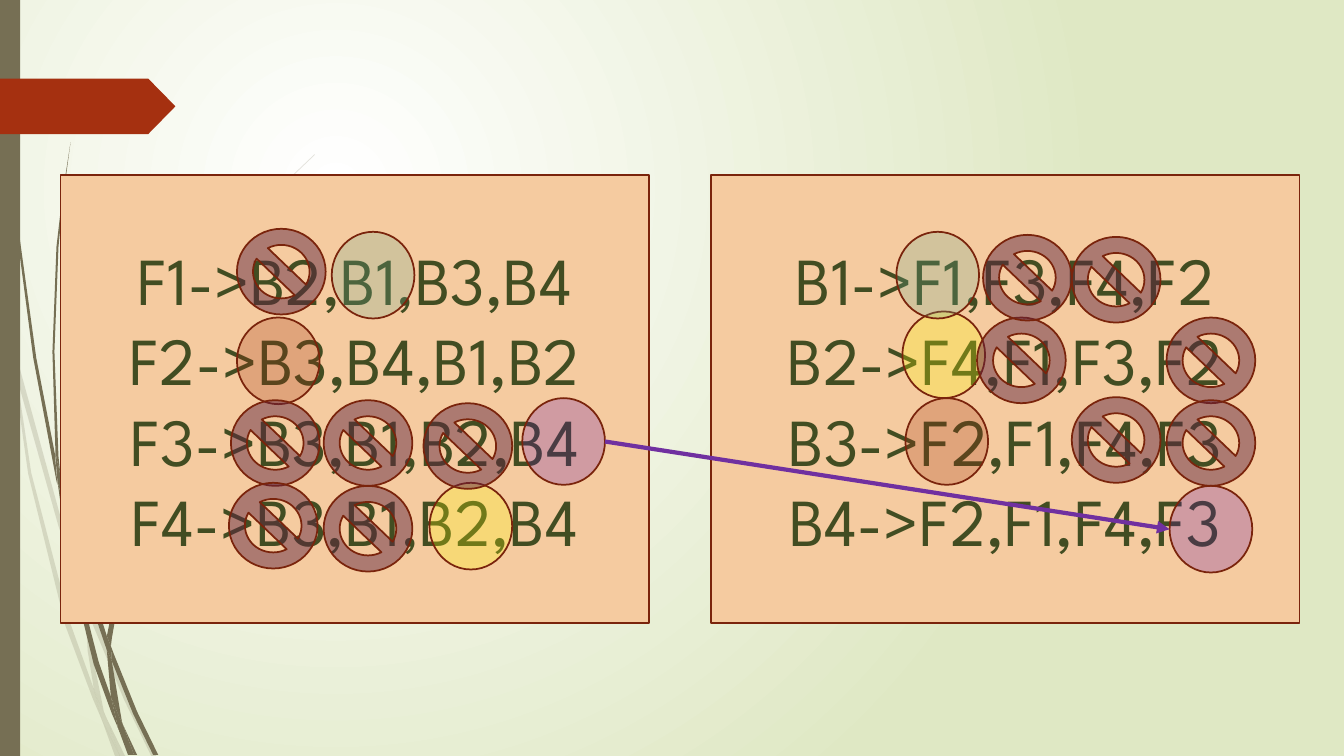
import pptx
import pptx.util
import pptx.dml.color
import pptx.enum.shapes
import pptx.enum.text
import pptx.oxml
import pptx.oxml.ns

SHAPES = pptx.enum.shapes.MSO_SHAPE
INCH = pptx.util.Inches
qn = pptx.oxml.ns.qn

STEM, RUST, EDGE, PEACH, MOSS = "766F54", "A53010", "7A240C", "F5CBA0", "424D22"
VIOLET, REJECTED = "7030A0", "622641"
PREFERENCES = [
    ["F1->B2,B1,B3,B4", "F2->B3,B4,B1,B2", "F3->B3,B1,B2,B4", "F4->B3,B1,B2,B4"],
    ["B1->F1,F3,F4,F2", "B2->F4,F1,F3,F2", "B3->F2,F1,F4,F3", "B4->F2,F1,F4,F3"],
]
MATCHES = [
    (RUST, (2.35, 3.15), (8.98, 3.95)),
    ("FFFF00", (4.26, 4.79), (8.95, 3.09)),
    ("6AAC91", (3.29, 2.3), (8.89, 2.3)),
    ("620DA9", (5.18, 3.95), (11.6, 4.82)),
]
REJECTIONS = [
    (2.35, 2.27), (2.29, 3.97), (3.21, 3.97), (4.2, 4), (2.27, 4.79), (3.21, 4.82),
    (9.69, 3.15), (9.75, 2.33), (10.63, 2.35), (11.57, 3.15), (10.63, 3.94), (11.57, 3.97),
]
FAINT_GRASS = [
    [(11, 350), (9, 322), (0, 282), (0, 299), (10, 344)],
    [(58, 522), (84, 599), (85, 586), (62, 520), (14, 345), (17, 376)],
    [(92, 607), (88, 596), (88, 610), (123, 694), (150, 750), (155, 750), (127, 692)],
    [(119, 750), (124, 750), (105, 711)],
    [(93, 683), (70, 619), (31, 469), (17, 376), (11, 350), (28, 470), (65, 621), (92, 693),
     (101, 714), (99, 707)],
    [(84, 599), (87, 646), (93, 683), (96, 692), (105, 711), (103, 706), (91, 646), (88, 610),
     (88, 608)],
    [(88, 584), (110, 462), (160, 349), (229, 245), (268, 198), (290, 175), (312, 154), (312, 153),
     (289, 175), (268, 197), (228, 244), (158, 348), (107, 461), (85, 584), (85, 586), (88, 596)],
    [(101, 714), (114, 750), (119, 750)],
    [(96, 692), (93, 683), (99, 707), (101, 714), (119, 750), (105, 711)],
]
GRASS = [
    [(7, 110), (17, 233), (33, 355), (56, 477), (57, 481), (55, 457), (55, 453), (36, 355),
     (19, 232), (8, 109), (5, 48), (4, 0), (3, 0), (4, 48)],
    [(88, 592), (106, 645), (106, 631), (93, 590), (60, 472), (64, 505)],
    [(113, 649), (110, 641), (111, 656), (132, 708), (152, 749), (157, 749), (136, 706)],
    [(110, 691), (98, 657), (72, 556), (64, 505), (57, 477), (68, 557), (93, 659), (111, 708),
     (117, 722), (116, 717)],
    [(60, 472), (58, 453), (54, 349), (58, 245), (63, 193), (70, 141), (62, 193), (56, 245),
     (52, 349), (55, 449)],
    [(133, 749), (136, 749), (122, 719)],
    [(57, 477), (64, 505), (60, 472), (55, 449), (55, 453)],
    [(111, 633), (125, 552), (158, 476), (205, 406), (231, 374), (245, 359), (261, 344), (260, 344),
     (245, 358), (231, 373), (204, 405), (156, 474), (122, 551), (106, 631), (110, 641)],
    [(117, 722), (127, 749), (131, 749)],
    [(106, 645), (110, 691), (116, 706), (122, 719), (121, 716), (111, 656), (109, 651)],
    [(106, 645), (109, 651), (111, 656), (110, 641), (106, 631)],
    [(116, 706), (110, 691), (116, 717), (117, 722), (130, 749), (133, 749), (122, 719)],
]

deck = pptx.Presentation()
deck.slide_width, deck.slide_height = INCH(13.33), INCH(7.5)
slide = deck.slides.add_slide(deck.slide_layouts[6])


def color(hex_code):
    return pptx.dml.color.RGBColor.from_string(hex_code)


def style(shape, fill, line=None, opacity=100):
    shape.shadow.inherit = False
    shape.fill.solid()
    shape.fill.fore_color.rgb = color(fill)
    if opacity < 100:
        tint = shape._element.spPr.find(".//" + qn("a:srgbClr"))
        pptx.oxml.ns  # noqa
        tint.append(pptx.oxml.parse_xml(
            f'<a:alpha {pptx.oxml.ns.nsdecls("a")} val="{opacity * 1000}"/>'))
    if line:
        shape.line.color.rgb = color(line)
        shape.line.width = pptx.util.Pt(1.25)
    else:
        shape.line.fill.background()
    return shape


def place(kind, left, top, width, height, fill, **look):
    box = [INCH(length) for length in (left, top, width, height)]
    return style(slide.shapes.add_shape(kind, *box), fill, **look)


def write(shape, lines, size, font, ink):
    frame = shape.text_frame
    frame.word_wrap = True
    frame.vertical_anchor = pptx.enum.text.MSO_ANCHOR.MIDDLE
    frame.text = "\n".join(lines)
    for paragraph in frame.paragraphs:
        paragraph.alignment = pptx.enum.text.PP_ALIGN.CENTER
        paragraph.font.size = pptx.util.Pt(size)
        paragraph.font.name = font
        paragraph.font.color.rgb = color(ink)


glow = slide.background.fill
glow.gradient()
for stop, shade in zip(glow.gradient_stops, ("FFFFFF", "DFE8C4")):
    stop.color.rgb = color(shade)
gradient = slide._element.find(".//" + qn("a:gradFill"))
gradient.replace(gradient.find(qn("a:lin")), pptx.oxml.parse_xml(
    f'<a:path {pptx.oxml.ns.nsdecls("a")} path="circle">'
    '<a:fillToRect l="50000" t="50000" r="100000" b="100000"/></a:path>'))

for blades, opacity in ((FAINT_GRASS, 20), (GRASS, 100)):
    for blade in blades:
        outline = slide.shapes.build_freeform(*blade[0], scale=INCH(0.01))
        outline.add_line_segments(blade[1:], close=True)
        style(outline.convert_to_shape(), STEM, opacity=opacity)

place(SHAPES.RECTANGLE, 0, 0, 0.2, 7.5, STEM)
banner = place(SHAPES.PENTAGON, 0, 0.78, 1.74, 0.55, RUST)
banner.adjustments[0] = 0.49

for column, lines in enumerate(PREFERENCES):
    panel = place(SHAPES.RECTANGLE, 0.6 + 6.45 * column, 1.74, 5.84, 4.44, PEACH, line=EDGE)
    write(panel, lines, size=48, font="League Spartan", ink=MOSS)

for shade, *pair in MATCHES:
    proposer, accepter = [
        place(SHAPES.OVAL, *spot, 0.82, 0.86, shade, line=EDGE, opacity=25) for spot in pair]
for spot in REJECTIONS:
    place(SHAPES.NO_SYMBOL, *spot, 0.88, 0.85, REJECTED, line=EDGE, opacity=49)

proposal = slide.shapes.add_connector(
    pptx.enum.shapes.MSO_CONNECTOR.STRAIGHT,
    proposer.left + proposer.width, proposer.top + proposer.height // 2,
    accepter.left, accepter.top + accepter.height // 2)
proposal.line.color.rgb = color(VIOLET)
proposal.line.width = pptx.util.Pt(3)
for tag in ('<a:tailEnd {} type="triangle"/>', "<a:effectLst {}/>"):
    part = pptx.oxml.parse_xml(tag.format(pptx.oxml.ns.nsdecls("a")))
    owner = proposal.line._get_or_add_ln() if "tailEnd" in tag else proposal._element.spPr
    owner.append(part)

deck.save("out.pptx")
